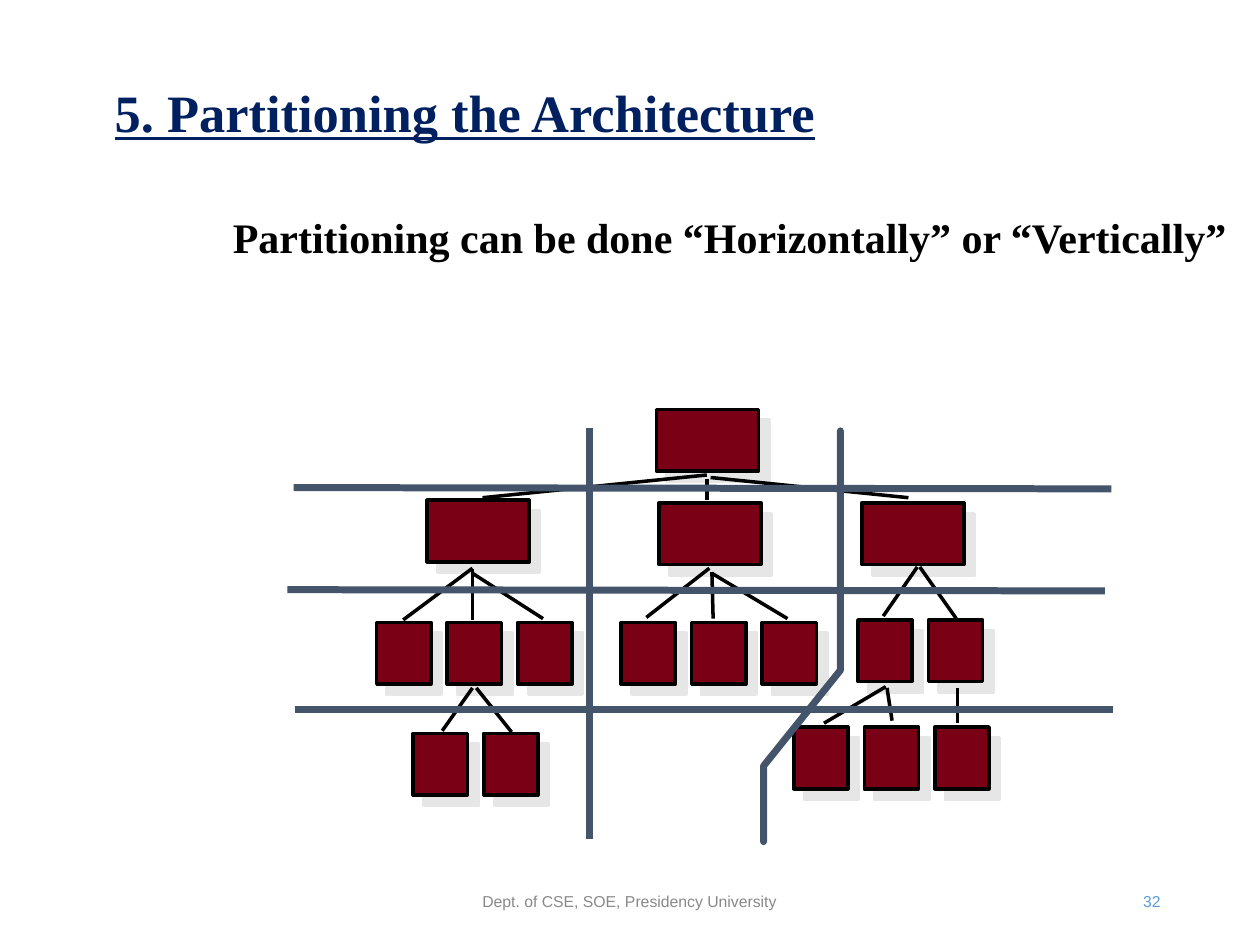
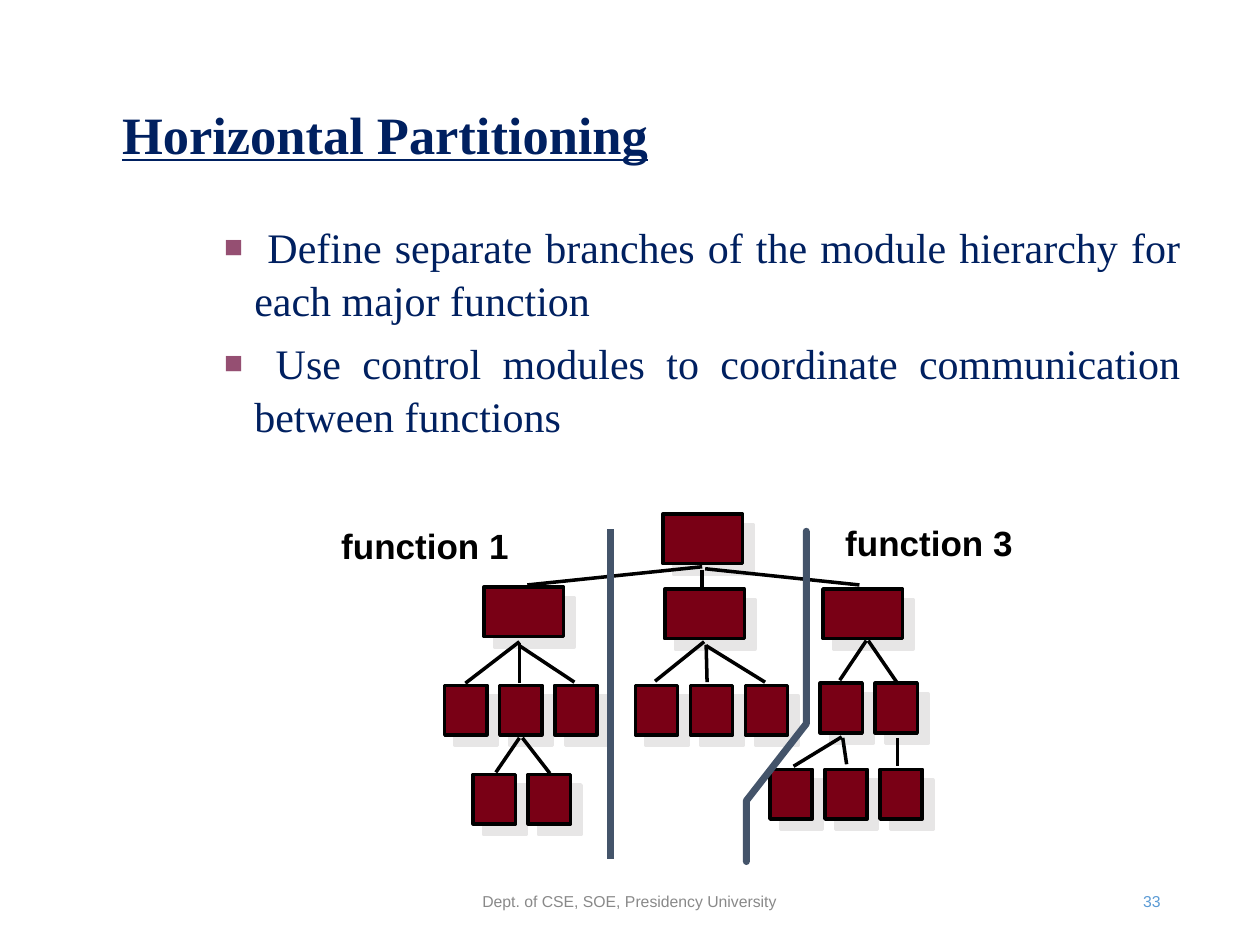
from lxml.etree import SubElement
from pptx import Presentation
from pptx.dml.color import RGBColor
from pptx.enum.shapes import MSO_CONNECTOR, MSO_SHAPE
from pptx.enum.text import MSO_ANCHOR, PP_ALIGN
from pptx.oxml.ns import qn
from pptx.util import Inches, Pt

NAVY, BLACK, MAROON, SLATE = "002060", "000000", "790015", "44546A"
GREY, BLUE, PLUM, SHADOW = "898989", "5B9BD5", "954F72", "E7E6E6"
SERIF, SANS = "Times New Roman", "Arial"

# Module tree, in inches from the tree's top left corner at full size
TREE_WIDTH, TREE_HEIGHT = 4.86, 3.06
CONTROL_WIDTH, MODULE_WIDTH, NODE_HEIGHT = 0.81, 0.43, 0.49
MODULE_PITCH = 0.56
CONTROLS = [(2.22, 0), (0.4, 0.72), (2.24, 0.74), (3.85, 0.74)]
MODULE_ROWS = [  # left, top, count
    (0, 1.69, 3), (1.94, 1.69, 3), (3.82, 1.67, 2),
    (3.31, 2.52, 3), (0.29, 2.57, 2),
]
LINKS = [  # x1, y1, x2, y2
    # root to controls
    (2.62, 0.52, 0.84, 0.7), (2.62, 0.55, 2.62, 0.72), (2.65, 0.54, 4.22, 0.7),
    # controls to modules
    (0.76, 1.26, 0.21, 1.67), (0.76, 1.27, 0.76, 1.67), (0.76, 1.3, 1.32, 1.66),
    (2.64, 1.26, 2.14, 1.65), (2.66, 1.29, 2.67, 1.66), (2.66, 1.3, 3.26, 1.66),
    (4.29, 1.25, 4.02, 1.64), (4.31, 1.25, 4.6, 1.66),
    # modules to submodules
    (4.04, 2.2, 3.55, 2.49), (4.05, 2.21, 4.09, 2.47), (4.61, 2.21, 4.61, 2.49),
    (0.76, 2.21, 0.52, 2.55), (0.79, 2.21, 1.07, 2.56),
]
BRANCH_DIVIDER = (1.69, 0.15, 1.69, 3.41)
BENT_DIVIDER = [(3.68, 0.17), (3.68, 2.07), (3.07, 2.83), (3.07, 3.43)]
LEVEL_DIVIDERS = [
    (-0.71, 1.43, 5.78, 1.44), (-0.65, 2.38, 5.84, 2.38),
    (-0.66, 0.62, 5.83, 0.63),
]


def color(value):
    return RGBColor.from_string(value)


def add_text(slide, box, paragraphs, size, font, text_color, bold=False,
             underline=False, align=PP_ALIGN.LEFT, anchor=MSO_ANCHOR.TOP,
             insets=(0.1, 0.05), spacing=1.0, wrap=True, bullet=False):
    frame = slide.shapes.add_textbox(*map(Inches, box)).text_frame
    frame.word_wrap = wrap
    frame.vertical_anchor = anchor
    frame.margin_left = frame.margin_right = Inches(insets[0])
    frame.margin_top = frame.margin_bottom = Inches(insets[1])
    for index, text in enumerate(paragraphs):
        paragraph = frame.add_paragraph() if index else frame.paragraphs[0]
        paragraph.alignment = align
        paragraph.line_spacing = spacing
        if index:
            paragraph.space_before = Pt(6)
        if bullet:
            add_bullet(paragraph)
        run = paragraph.add_run()
        run.text = text
        run.font.name = font
        run.font.size = Pt(size)
        run.font.bold = bold
        run.font.underline = underline
        run.font.color.rgb = color(text_color)


def add_bullet(paragraph):
    properties = paragraph._p.get_or_add_pPr()
    properties.set("marL", str(Inches(0.24)))
    properties.set("indent", str(-Inches(0.24)))
    bullet_color = SubElement(properties, qn("a:buClr"))
    SubElement(bullet_color, qn("a:srgbClr"), val=PLUM)
    SubElement(properties, qn("a:buSzPct"), val="75000")
    SubElement(properties, qn("a:buFont"), typeface=SANS)
    SubElement(properties, qn("a:buChar"), char="■")


def add_frame(slide, title, title_box, number):
    """Title, footer and slide number."""
    add_text(slide, title_box, [title], 30, SERIF, NAVY, bold=True,
             underline=True, anchor=MSO_ANCHOR.MIDDLE, insets=(0.07, 0.03),
             spacing=0.9)
    add_text(slide, (3.31, 6.95, 3.37, 0.4),
             ["Dept. of CSE, SOE, Presidency University"], 9, SANS, GREY,
             align=PP_ALIGN.CENTER, anchor=MSO_ANCHOR.MIDDLE)
    add_text(slide, (7.06, 6.95, 2.25, 0.4), [str(number)], 9, SANS, BLUE,
             align=PP_ALIGN.RIGHT, anchor=MSO_ANCHOR.MIDDLE)


def add_tree(slide, box, with_levels=False):
    """Module tree with its dividers, scaled to fill the box."""
    left, top, width, height = box
    scale_x, scale_y = width / TREE_WIDTH, height / TREE_HEIGHT

    def place(x, y):
        return Inches(left + x * scale_x), Inches(top + y * scale_y)

    def add_node(x, y, node_width):
        shape = slide.shapes.add_shape(
            MSO_SHAPE.RECTANGLE, *place(x, y),
            Inches(node_width * scale_x), Inches(NODE_HEIGHT * scale_y))
        shape.fill.solid()
        shape.fill.fore_color.rgb = color(MAROON)
        shape.line.color.rgb = color(BLACK)
        shape.line.width = Pt(2)
        add_shadow(shape)

    def add_line(ends, line_color, weight):
        line = slide.shapes.add_connector(
            MSO_CONNECTOR.STRAIGHT, *place(*ends[:2]), *place(*ends[2:]))
        line.line.color.rgb = color(line_color)
        line.line.width = Pt(weight)
        SubElement(line._element.spPr, qn("a:effectLst"))

    # Nodes
    for x, y in CONTROLS:
        add_node(x, y, CONTROL_WIDTH)
    for x, y, count in MODULE_ROWS:
        for index in range(count):
            add_node(x + index * MODULE_PITCH, y, MODULE_WIDTH)

    # Links
    for link in LINKS:
        add_line(link, BLACK, 2)

    # Dividers
    levels = LEVEL_DIVIDERS if with_levels else []
    for divider in [*levels, BRANCH_DIVIDER]:
        add_line(divider, SLATE, 4)
    points = [place(x, y) for x, y in BENT_DIVIDER]
    builder = slide.shapes.build_freeform(*points[0], scale=1.0)
    builder.add_line_segments(points[1:], close=False)
    shape = builder.convert_to_shape()
    shape.shadow.inherit = False
    shape.fill.background()
    shape.line.color.rgb = color(SLATE)
    shape.line.width = Pt(4)
    outline = shape.line._get_or_add_ln()
    outline.set("cap", "rnd")
    SubElement(outline, qn("a:round"))


def add_shadow(shape):
    """Solid offset shadow down and to the right."""
    shape.shadow.inherit = False
    effects = shape._element.spPr.find(qn("a:effectLst"))
    shadow = SubElement(effects, qn("a:outerShdw"), dist=str(Pt(8.5)),
                        dir="2700000", algn="ctr", rotWithShape="0")
    SubElement(shadow, qn("a:srgbClr"), val=SHADOW)


def build_partitioning(slide):
    add_frame(slide, "5. Partitioning the Architecture",
              (0.84, 0.64, 5.76, 0.56), 32)
    add_text(slide, (1.75, 1.61, 8.13, 1.95),
             ["Partitioning can be done “Horizontally” or “Vertically”"],
             24, SERIF, BLACK, bold=True, align=PP_ALIGN.JUSTIFY, spacing=1.05)
    add_tree(slide, (2.99, 3.25, TREE_WIDTH, TREE_HEIGHT), with_levels=True)


def build_horizontal(slide):
    add_frame(slide, "Horizontal Partitioning", (0.9, 0.81, 4.36, 0.56), 33)
    add_text(slide, (1.68, 1.69, 7.79, 3.24),
             [" Define separate branches of the module hierarchy for each major function",
              " Use control modules to coordinate communication between functions"],
             24, SERIF, NAVY, align=PP_ALIGN.JUSTIFY, spacing=1.05, bullet=True)
    add_tree(slide, (3.53, 4.08, 3.79, 2.46))
    # Branch labels
    for label, left, top in [("function 1", 2.61, 4.11), ("function 3", 6.61, 4.09)]:
        add_text(slide, (left, top, 1.53, 0.43), [label], 20, SANS, BLACK,
                 bold=True, wrap=False)


def main():
    presentation = Presentation()
    presentation.slide_width = Inches(10)
    presentation.slide_height = Inches(7.5)
    for build in (build_partitioning, build_horizontal):
        build(presentation.slides.add_slide(presentation.slide_layouts[6]))
    presentation.save("out.pptx")


if __name__ == "__main__":
    main()
